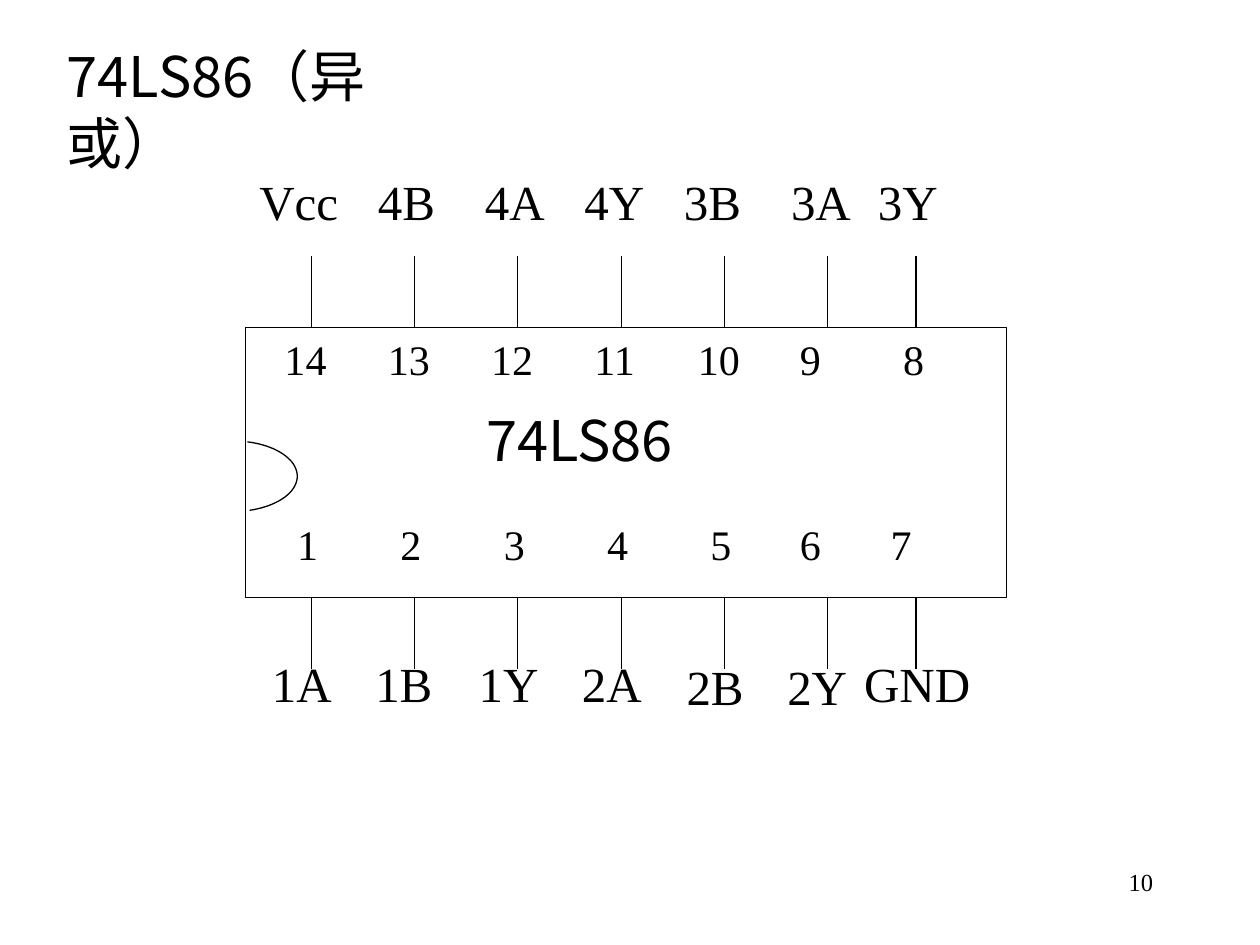
from math import cos, radians, sin

from lxml import etree
from pptx import Presentation
from pptx.dml.color import RGBColor
from pptx.enum.shapes import MSO_CONNECTOR, MSO_SHAPE
from pptx.enum.text import MSO_ANCHOR, MSO_AUTO_SIZE, PP_ALIGN
from pptx.oxml.ns import qn
from pptx.util import Inches, Pt

BLACK = RGBColor(0, 0, 0)
RECT = MSO_SHAPE.RECTANGLE
STRAIGHT = MSO_CONNECTOR.STRAIGHT
TOP = MSO_ANCHOR.TOP
NO_FIT = MSO_AUTO_SIZE.NONE
LEFT, RIGHT = PP_ALIGN.LEFT, PP_ALIGN.RIGHT
SERIF, SANS = "Times New Roman", "Noto Sans CJK SC"

TITLE = "74LS86（异或）"
CHIP = "74LS86"
PAGE = "10"
PITCH = 0.82
BODY = (1.95, 2.6, 6.04, 2.14)
LEAD = 0.57
NOTCH = (1.85, 3.78, 0.51, 0.28)

UPPER = [("Vcc", 1.96), ("4B", 2.9), ("4A", 3.75), ("4Y", 4.54),
         ("3B", 5.33), ("3A", 6.18), ("3Y", 6.87)]
LOWER = [("1A", 2.06, 5.14), ("1B", 2.88, 5.14), ("1Y", 3.7, 5.14),
         ("2A", 4.52, 5.14), ("2B", 5.35, 5.16), ("2Y", 6.15, 5.16),
         ("GND", 6.76, 5.14)]
WIDTHS = {"Vcc": 0.82, "GND": 1.04}


def style(shape, text, size, font, align=LEFT, wrap=False):
    frame = shape.text_frame
    frame.text = text
    frame.word_wrap = wrap
    frame.auto_size = NO_FIT
    frame.vertical_anchor = TOP
    para = frame.paragraphs[0]
    para.alignment = align
    run = para.runs[0]
    run.font.size = Pt(size)
    run.font.name = font
    run.font.color.rgb = BLACK
    east = etree.SubElement(run.font._element, qn("a:ea"))
    east.set("typeface", font)


def label(slide, text, box, size, font=SERIF, **options):
    shape = slide.shapes.add_textbox(*map(Inches, box))
    style(shape, text, size, font, **options)


def outline(shape):
    shape.line.color.rgb = BLACK
    shape.line.width = Pt(0.75)


def lead(slide, x, start, end):
    line = slide.shapes.add_connector(
        STRAIGHT, Inches(x), Inches(start), Inches(x), Inches(end))
    outline(line)
    etree.SubElement(line._element.spPr, qn("a:effectLst"))


def notch(slide):
    x, y, wide, high = NOTCH
    angles = [radians(-77 + 152 * step / 40) for step in range(41)]
    points = [(Inches(x + wide * cos(a)), Inches(y + high * sin(a)))
              for a in angles]
    build = slide.shapes.build_freeform(*points[0])
    build.add_line_segments(points[1:], close=False)
    curve = build.convert_to_shape()
    curve.fill.background()
    curve.shadow.inherit = False
    outline(curve)


def main():
    deck = Presentation()
    deck.slide_width, deck.slide_height = Inches(10), Inches(7.5)
    slide = deck.slides.add_slide(deck.slide_layouts[5])

    title = slide.shapes.title
    title.left, title.top = Inches(0.43), Inches(0.28)
    title.width, title.height = Inches(3.39), Inches(1.17)
    style(title, TITLE, 32, SANS, wrap=True)
    label(slide, PAGE, (7.17, 6.83, 2.08, 0.5), 14, align=RIGHT, wrap=True)

    body = slide.shapes.add_shape(RECT, *map(Inches, BODY))
    body.fill.background()
    body.shadow.inherit = False
    outline(body)
    roof = BODY[1]
    base = roof + BODY[3]

    for col in range(7):
        x = 7.27 if col == 6 else 2.47 + PITCH * col
        lead(slide, x, base, base + LEAD)
        lead(slide, x, roof - LEAD, roof)

        left = 2.26 + PITCH * col if col < 5 else 6.25 + 0.72 * (col - 5)
        label(slide, str(col + 1), (left, 4.07, 0.36, 0.5), 24)

        left = 2.16 + PITCH * col if col < 5 else 6.25 + PITCH * (col - 5)
        wide = 0.53 if col < 5 else 0.36
        label(slide, str(14 - col), (left, roof, wide, 0.5), 24)

    notch(slide)
    label(slide, CHIP, (3.76, 3.17, 1.81, 0.64), 32, SANS, wrap=True)

    names = [(text, left, 1.31) for text, left in UPPER] + LOWER
    for text, left, top in names:
        wide = WIDTHS.get(text, 0.65 if text.endswith("B") else 0.67)
        label(slide, text, (left, top, wide, 0.57), 28)

    deck.save("out.pptx")


if __name__ == "__main__":
    main()
